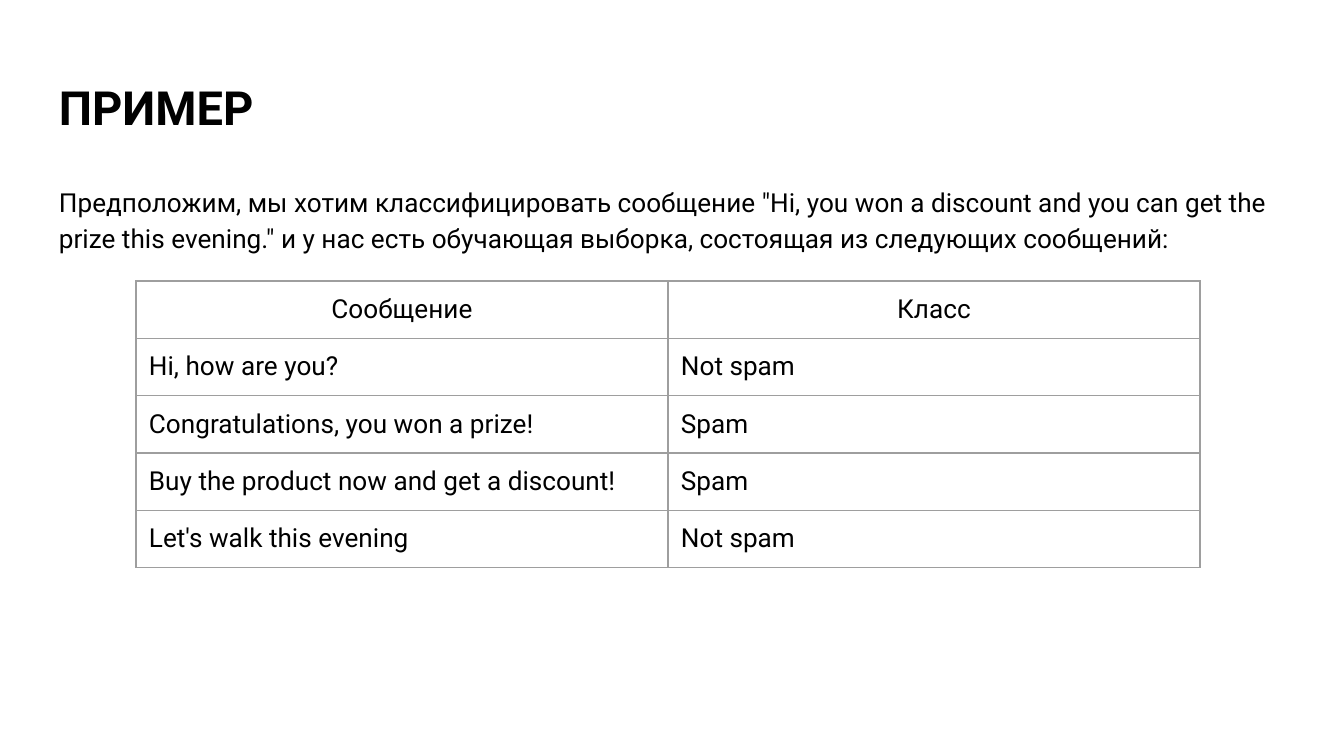
from dataclasses import dataclass

from lxml.etree import SubElement
from pptx import Presentation
from pptx.dml.color import RGBColor
from pptx.enum.text import PP_ALIGN
from pptx.oxml.ns import qn
from pptx.util import Pt

TITLE = "ПРИМЕР"
INTRO = (
    'Предположим, мы хотим классифицировать сообщение "Hi, you won a discount '
    'and you can get the prize this evening." и у нас есть обучающая выборка, '
    "состоящая из следующих сообщений:"
)
MESSAGES = [
    ("Сообщение", "Класс"),
    ("Hi, how are you?", "Not spam"),
    ("Congratulations, you won a prize!", "Spam"),
    ("Buy the product now and get a discount!", "Spam"),
    ("Let's walk this evening", "Not spam"),
]


@dataclass(frozen=True)
class Theme:
    font: str = "Roboto"
    ink: str = "000000"
    paper: str = "FFFFFF"
    border: str = "9E9E9E"
    border_pt: float = 0.75
    title_pt: float = 25.2
    body_pt: float = 14


THEME = Theme()
PX_PER_INCH = 134.4
SLIDE_W, SLIDE_H = 1344, 756
TEXT_X, TEXT_W = 46, 1253
TITLE_Y, TITLE_H = 66, 85
INTRO_Y, INTRO_H = 169, 503
TABLE_X, TABLE_Y, COL_W, ROW_H = 136, 281, 532, 56
PAD = 13


def px(n):
    return round(n * 914400 / PX_PER_INCH)


def add_run(p, text, size, bold=False):
    r = p.add_run()
    r.text = text
    r.font.name = THEME.font
    r.font.size = Pt(size)
    r.font.bold = bold
    r.font.color.rgb = RGBColor.from_string(THEME.ink)


def set_padding(box):
    """Give a text frame or a table cell the same inset on all sides."""
    box.margin_left = box.margin_right = px(PAD)
    box.margin_top = box.margin_bottom = px(PAD)


def add_text(s, y, h, text, size, bold=False):
    tf = s.shapes.add_textbox(px(TEXT_X), px(y), px(TEXT_W), px(h)).text_frame
    tf.word_wrap = True
    set_padding(tf)
    p = tf.paragraphs[0]
    add_run(p, text, size, bold)
    return p


def set_borders(cell):
    """Outline a cell; borders must come before its fill in the XML."""
    tc_pr = cell._tc.get_or_add_tcPr()
    for side in ("lnL", "lnR", "lnT", "lnB"):
        ln = SubElement(tc_pr, qn(f"a:{side}"), w=str(Pt(THEME.border_pt)))
        fill = SubElement(ln, qn("a:solidFill"))
        SubElement(fill, qn("a:srgbClr"), val=THEME.border)


def add_message_table(s):
    rows, cols = len(MESSAGES), len(MESSAGES[0])
    table = s.shapes.add_table(
        rows, cols, px(TABLE_X), px(TABLE_Y), px(cols * COL_W), px(rows * ROW_H)
    ).table
    table.horz_banding = False
    for i, values in enumerate(MESSAGES):
        for j, text in enumerate(values):
            cell = table.cell(i, j)
            set_padding(cell)
            set_borders(cell)
            cell.fill.background()
            p = cell.text_frame.paragraphs[0]
            p.alignment = PP_ALIGN.CENTER if i == 0 else PP_ALIGN.LEFT
            add_run(p, text, THEME.body_pt)


def main():
    prs = Presentation()
    prs.slide_width, prs.slide_height = px(SLIDE_W), px(SLIDE_H)
    s = prs.slides.add_slide(prs.slide_layouts[6])
    s.background.fill.solid()
    s.background.fill.fore_color.rgb = RGBColor.from_string(THEME.paper)

    add_text(s, TITLE_Y, TITLE_H, TITLE, THEME.title_pt, bold=True)
    p = add_text(s, INTRO_Y, INTRO_H, INTRO, THEME.body_pt)
    p.line_spacing = 1.15
    p.space_after = Pt(12)
    add_message_table(s)

    prs.save("out.pptx")


if __name__ == "__main__":
    main()
